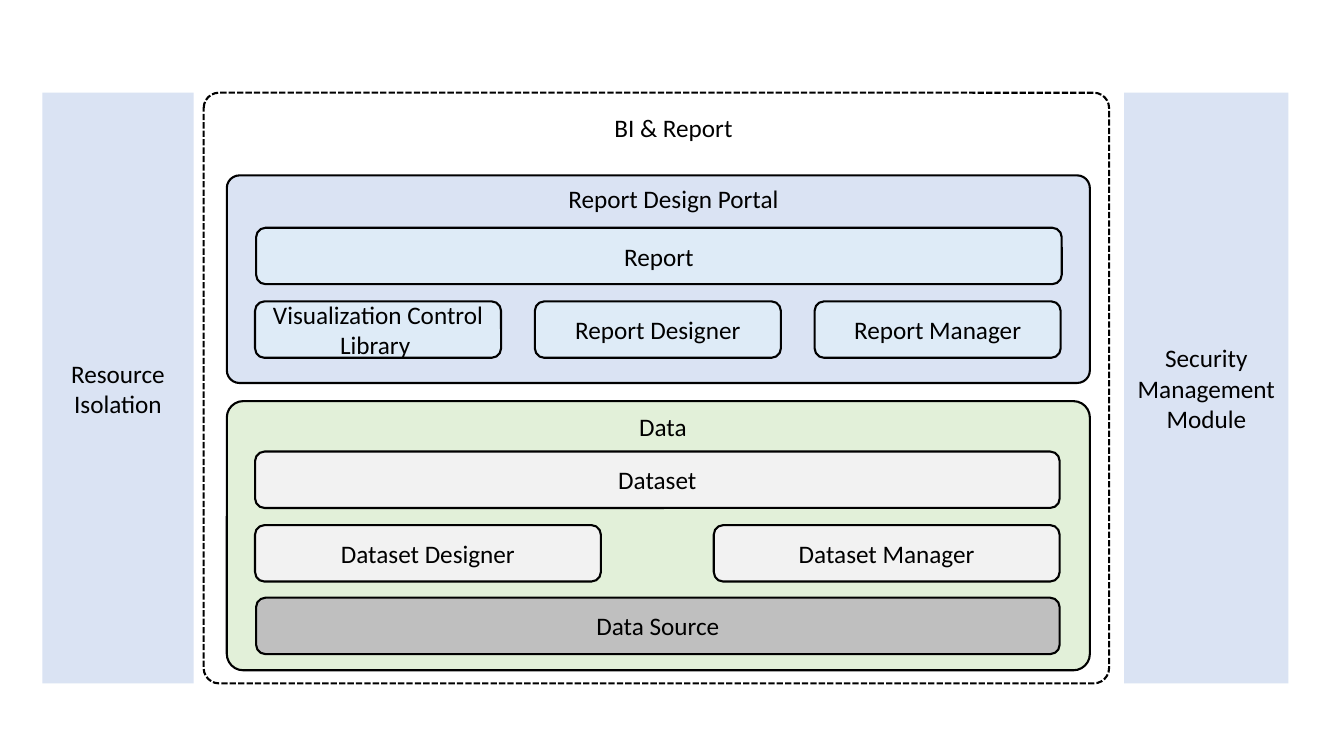
from pptx import Presentation
from pptx.dml.color import RGBColor
from pptx.enum.dml import MSO_LINE as Dash
from pptx.enum.shapes import MSO_SHAPE as Shape
from pptx.enum.text import MSO_ANCHOR as Anchor, PP_ALIGN as Align
from pptx.util import Inches, Pt

HUES = {
    "ink": "000000",
    "blue": "DAE3F3",
    "sky": "DEEBF7",
    "green": "E2F0D9",
    "pale": "F2F2F2",
    "gray": "BFBFBF",
}
TOP, TALL = 0.92, 5.86  # outer frame and side bars
BAR = 0.56              # height of every inner box


def hue(name):
    return RGBColor.from_string(HUES[name])


def write(shape, text, anchor=Anchor.MIDDLE):
    frame = shape.text_frame
    frame.word_wrap = True
    frame.vertical_anchor = anchor
    frame.text = text
    para = frame.paragraphs[0]
    para.alignment = Align.CENTER
    para.font.name = "Calibri"
    para.font.size = Pt(18)
    para.font.color.rgb = hue("ink")


def add_box(slide, area, fill=None, text="", kind=Shape.ROUNDED_RECTANGLE,
            curve=None, edge=True):
    box = slide.shapes.add_shape(kind, *map(Inches, area))
    box.shadow.inherit = False
    if curve is not None:
        box.adjustments[0] = curve
    if fill:
        box.fill.solid()
        box.fill.fore_color.rgb = hue(fill)
    else:
        box.fill.background()
    if edge:
        box.line.color.rgb = hue("ink")
        box.line.width = Pt(1.5)
    else:
        box.line.fill.background()
    if text:
        write(box, text)
    return box


def add_row(slide, top, names, fill, left=2.53, width=7.98, size=None):
    """Spread equal boxes from the left edge to the right edge."""
    size = size or width
    step = (width - size) / max(len(names) - 1, 1)
    for i, name in enumerate(names):
        add_box(slide, (left + i * step, top, size, BAR), fill, name)


def add_label(slide, area, text):
    label = slide.shapes.add_textbox(*map(Inches, area))
    write(label, text, Anchor.TOP)


def add_panel(slide, top, height, fill):
    add_box(slide, (2.25, top, 8.56, height), fill, curve=0.061)


def add_side(slide, left, width, text):
    add_box(slide, (left, TOP, width, TALL), "blue", text,
            kind=Shape.RECTANGLE, edge=False)


def set_title(slide, area, text):
    title = slide.shapes.title
    title.left, title.top, title.width, title.height = map(Inches, area)
    write(title, text, Anchor.TOP)


def main():
    deck = Presentation()
    deck.slide_width, deck.slide_height = Inches(13.33), Inches(7.5)
    slide = deck.slides.add_slide(deck.slide_layouts[5])

    # Title and dashed frame
    set_title(slide, (5.63, 1.06, 2.1, 0.4), "BI & Report")
    frame = add_box(slide, (2.02, TOP, 8.98, TALL), curve=0.026)
    frame.line.dash_style = Dash.SQUARE_DOT

    # Report design portal
    add_panel(slide, 1.74, 2.06, "blue")
    add_label(slide, (5.18, 1.77, 3, 0.4), "Report Design Portal")
    add_row(slide, 2.26, ["Report"], "sky", left=2.54, width=7.99)
    tools = ["Visualization Control Library ", "Report Designer",
             "Report Manager"]
    add_row(slide, 2.99, tools, "sky", width=7.99, size=2.44)

    # Data
    add_panel(slide, 3.98, 2.67, "green")
    add_label(slide, (5.67, 4.03, 1.81, 0.4), "Data")
    add_row(slide, 4.48, ["Dataset"], "pale")
    add_row(slide, 5.21, ["Dataset Designer", "Dataset Manager"], "pale",
            size=3.43)
    add_row(slide, 5.93, ["Data Source"], "gray", left=2.54, width=7.97)

    # Side bars
    add_side(slide, 0.42, 1.5, "Resource Isolation")
    add_side(slide, 11.15, 1.63, "Security Management Module")

    deck.save("out.pptx")


main()
